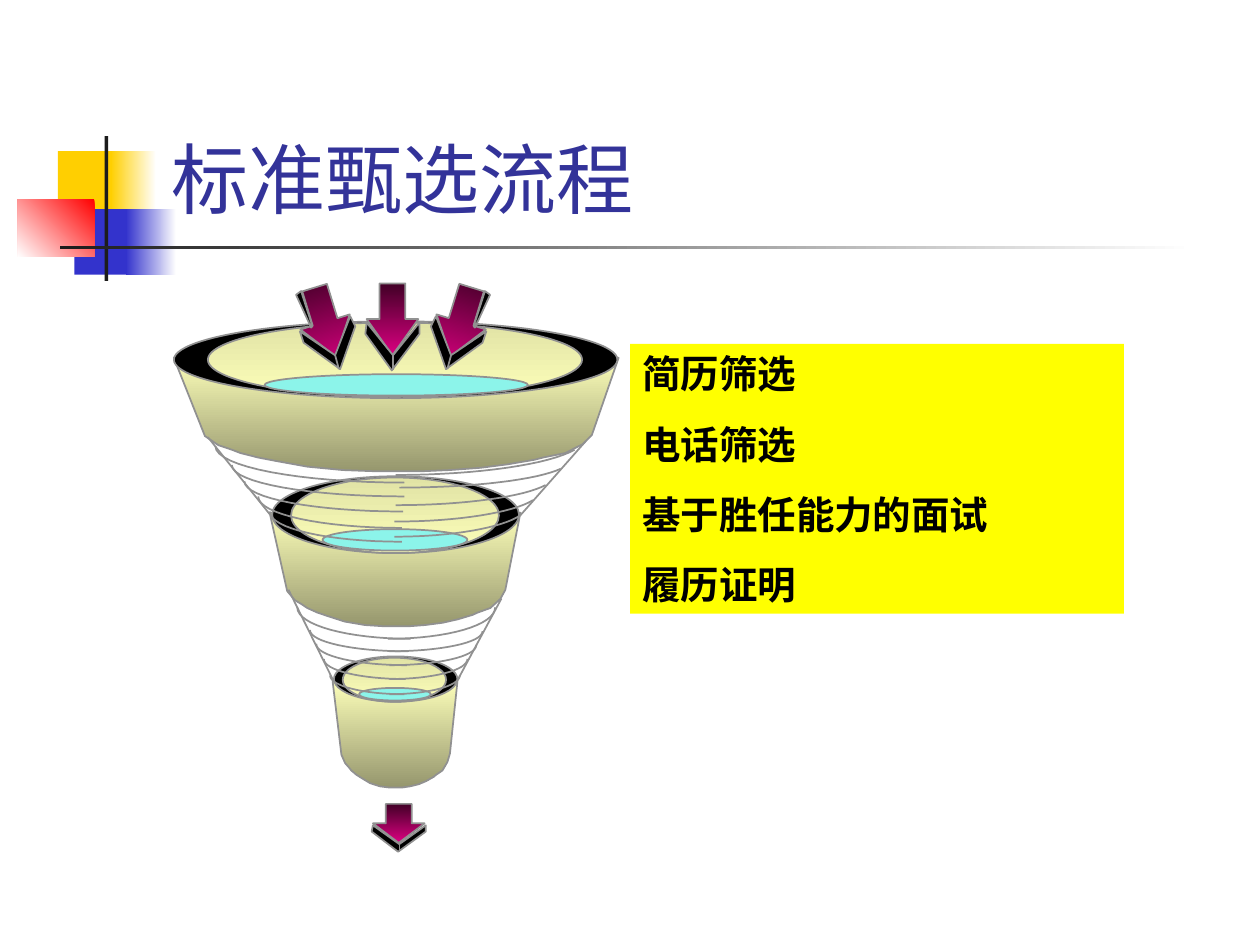
import pptx
import pptx.dml.color
import pptx.enum.shapes
import pptx.enum.text
import pptx.oxml.ns
import pptx.util
from dataclasses import dataclass
from lxml import etree

Inches = pptx.util.Inches
Kind = pptx.enum.shapes.MSO_SHAPE


@dataclass(frozen=True)
class Theme:
    gold: str = "FFCF01"
    blue: str = "3333CC"
    red: str = "FF0000"
    white: str = "FFFFFF"
    ink: str = "1C1C1C"
    black: str = "000000"
    edge: str = "919191"
    water: str = "8CF4EA"
    panel: str = "FFFF00"
    title: str = "333399"
    body: tuple = ("FCFEB9", "96976E", 90)
    bowl: tuple = ("E1E3A5", "FCFEB9", 90)
    arrow: tuple = ("410026", "DC0081", 90)
    head: int = 44
    text: int = 22


def color(code):
    return pptx.dml.color.RGBColor.from_string(code)


class Board:
    def __init__(self, slide, theme):
        self.shapes = slide.shapes
        self.theme = theme

    def style(self, shape, fill, edge):
        """Fill is None, a colour, or (first, last, clockwise angle)."""
        shape.shadow.inherit = False
        if fill is None:
            shape.fill.background()
        elif isinstance(fill, tuple):
            first, last, angle = fill
            shape.fill.gradient()
            shape.fill.gradient_angle = (360 - angle) % 360
            for stop, code in zip(shape.fill.gradient_stops, (first, last)):
                stop.color.rgb = color(code)
        else:
            shape.fill.solid()
            shape.fill.fore_color.rgb = color(fill)
        if edge:
            shape.line.color.rgb = color(self.theme.edge)
            shape.line.width = pptx.util.Pt(1)
        else:
            shape.line.fill.background()
        return shape

    def shape(self, kind, box, fill, edge=True):
        shape = self.shapes.add_shape(kind, *map(Inches, box))
        return self.style(shape, fill, edge)

    def outline(self, points, fill=None, close=True):
        spots = [(Inches(x), Inches(y)) for x, y in points]
        pen = self.shapes.build_freeform(*spots[0], scale=1.0)
        pen.add_line_segments(spots[1:], close=close)
        return self.style(pen.convert_to_shape(), fill, True)

    def line(self, start, end):
        line = self.shapes.add_connector(
            pptx.enum.shapes.MSO_CONNECTOR.STRAIGHT, *map(Inches, start + end))
        line.line.color.rgb = color(self.theme.edge)
        line.line.width = pptx.util.Pt(1)
        etree.SubElement(line.element.spPr, pptx.oxml.ns.qn("a:effectLst"))

    def label(self, box):
        return self.shapes.add_textbox(*map(Inches, box))


def write(shape, text, size, code, font, bold=False, gap=0, anchor="TOP"):
    """Write one paragraph per line, with gap points between them."""
    frame = shape.text_frame
    frame.word_wrap = True
    frame.vertical_anchor = getattr(pptx.enum.text.MSO_ANCHOR, anchor)
    frame.text = text
    for index, para in enumerate(frame.paragraphs):
        para.alignment = pptx.enum.text.PP_ALIGN.LEFT
        if index:
            para.space_before = pptx.util.Pt(gap)
        para.font.size = pptx.util.Pt(size)
        para.font.name = font
        para.font.bold = bold
        para.font.color.rgb = color(code)


# Cup outline as fractions of its width and height
CUP = [(0, 0), (.07, .69), (.1, .77), (.13, .81), (.15, .84), (.19, .88),
       (.23, .91), (.3, .96), (.38, .99), (.45, 1), (.56, 1), (.62, .99),
       (.69, .97), (.75, .94), (.81, .9), (.83, .88), (.88, .84),
       (.91, .78), (.92, .76), (.94, .68), (1, 0)]

# Ribs: bottom x, bottom y, side x, side y
UPPER = [(3.21, 3.83, 1.71, 3.54), (3.14, 3.77, 4.56, 3.57),
         (3.21, 3.94, 1.84, 3.69), (3.17, 3.87, 4.45, 3.72),
         (3.2, 4.06, 1.94, 3.82), (3.14, 4.01, 4.33, 3.85),
         (3.19, 4.19, 2.05, 3.94), (3.13, 4.14, 4.23, 3.97),
         (3.19, 4.3, 2.14, 4.06), (3.13, 4.26, 4.13, 4.09)]
LOWER = [(3.26, 5.07, 2.36, 4.82), (3.08, 5.07, 3.93, 4.82),
         (3.24, 5.17, 2.46, 5), (3.09, 5.17, 3.83, 5.01),
         (3.23, 5.28, 2.51, 5.11), (3.09, 5.28, 3.78, 5.12),
         (3.22, 5.39, 2.57, 5.23), (3.09, 5.39, 3.71, 5.23),
         (3.21, 5.51, 2.62, 5.36), (3.09, 5.51, 3.65, 5.36)]


def cup(board, body, rim, bowl, water):
    left, top, width, height = body
    board.outline([(left + x * width, top + y * height) for x, y in CUP],
                  board.theme.body)
    for box, fill in ((rim, board.theme.black), (bowl, board.theme.bowl),
                      (water, board.theme.water)):
        board.shape(Kind.OVAL, box, fill)


def rib(board, low_x, low_y, side_x, side_y, lean=0, steps=16):
    """Draw a curve from the side to the bottom; lean slants its start."""
    wide, deep = low_x - side_x, low_y - side_y
    points = []
    for step in range(steps + 1):
        t = step / steps
        a, b, c = 3 * t * (1 - t) ** 2, 3 * t * t * (1 - t), t ** 3
        points.append((side_x + wide * (a * lean + b * (.45 + .6 * lean) + c),
                       side_y + deep * (a * .57 + b + c)))
    board.outline(points, close=False)


def arrow(board, box, depth, turn=0):
    shape = board.shape(Kind.DOWN_ARROW, box, board.theme.arrow)
    shape.adjustments[0] = .5
    shape.adjustments[1] = depth
    shape.rotation = turn


def drop(board, mid, top, height, depth, lip, tip, base):
    """Draw an upright arrow with a thick black edge under its head."""
    arrow(board, (mid - .21, top, .41, height), depth)
    low = lip + (.05 if height < .5 else .09)
    board.outline([(mid - .01, base), (mid - .22, low), (mid - .21, lip),
                   (mid, tip), (mid + .21, lip), (mid + .21, low)],
                  board.theme.black)
    board.line((mid, tip), (mid, base))


def tilt(board, axis, side):
    """Draw a slanted arrow; side is 1 for right of the axis, -1 for left."""
    def flip(points):
        return [(axis + side * x, y) for x, y in points]

    arrow(board, (axis + side * .54 - .205, 2.27, .41, .57), .695, 17 * side % 360)
    for part in ([(.42, 2.93), (.3, 2.59), (.34, 2.51), (.46, 2.82),
                  (.74, 2.63), (.71, 2.72)],
                 [(.64, 2.59), (.73, 2.31), (.77, 2.34), (.65, 2.6)]):
        board.outline(flip(part), board.theme.black)
    board.line(*flip([(.46, 2.82), (.43, 2.93)]))


def main():
    deck = pptx.Presentation()
    deck.slide_width, deck.slide_height = Inches(10), Inches(7.5)
    theme = Theme()
    board = Board(deck.slides.add_slide(deck.slide_layouts[6]), theme)

    for box, fill in (
            ((.46, 1.2, .48, .52), theme.gold),
            ((.88, 1.2, .36, .52), (theme.white, theme.gold, 180)),
            ((.59, 1.66, .46, .52), theme.blue),
            ((1, 1.66, .4, .52), (theme.white, theme.blue, 180)),
            ((.14, 1.58, .61, .46), (theme.red, theme.white, 135)),
            ((.83, 1.08, .03, 1.15), theme.ink),
            ((.48, 1.95, 9, .03), (theme.white, theme.ink, 180))):
        board.shape(Kind.RECTANGLE, box, fill, edge=False)

    cup(board, (1.38, 2.84, 3.53, .9), (1.38, 2.55, 3.52, .61),
        (1.65, 2.56, 2.97, .59), (2.1, 2.97, 2.09, .17))
    cup(board, (2.14, 4.07, 1.99, .9), (2.16, 3.78, 1.96, .61),
        (2.31, 3.79, 1.65, .6), (2.56, 4.2, 1.15, .17))
    board.line((2.14, 4.08), (1.65, 3.47))
    board.line((4.13, 4.09), (4.65, 3.5))
    for row in UPPER:
        rib(board, *row, lean=.14 if row[2] > row[0] else 0)

    cup(board, (2.64, 5.41, .99, .84), (2.65, 5.21, .98, .36),
        (2.72, 5.22, .82, .35), (2.85, 5.46, .57, .1))
    board.line((2.64, 5.39), (2.29, 4.68))
    board.line((3.62, 5.42), (3.98, 4.75))
    for row in LOWER:
        rib(board, *row)

    drop(board, 3.17, 6.38, .31, .5, 6.55, 6.7, 6.76)
    drop(board, 3.12, 2.25, .57, .7, 2.56, 2.82, 2.94)
    for side in (1, -1):
        tilt(board, 3.12, side)

    panel = board.shape(Kind.RECTANGLE, (5, 2.73, 3.92, 2.14), theme.panel, edge=False)
    write(panel, "简历筛选\n电话筛选\n基于胜任能力的面试\n履历证明", theme.text,
          theme.black, "Arial", bold=True, gap=13.8)
    panel.text_frame.auto_size = pptx.enum.text.MSO_AUTO_SIZE.SHAPE_TO_FIT_TEXT
    write(board.label((1.26, .23, 8.52, 1.6)), "标准甄选流程", theme.head,
          theme.title, "Lato", anchor="BOTTOM")
    deck.save("out.pptx")


if __name__ == "__main__":
    main()
